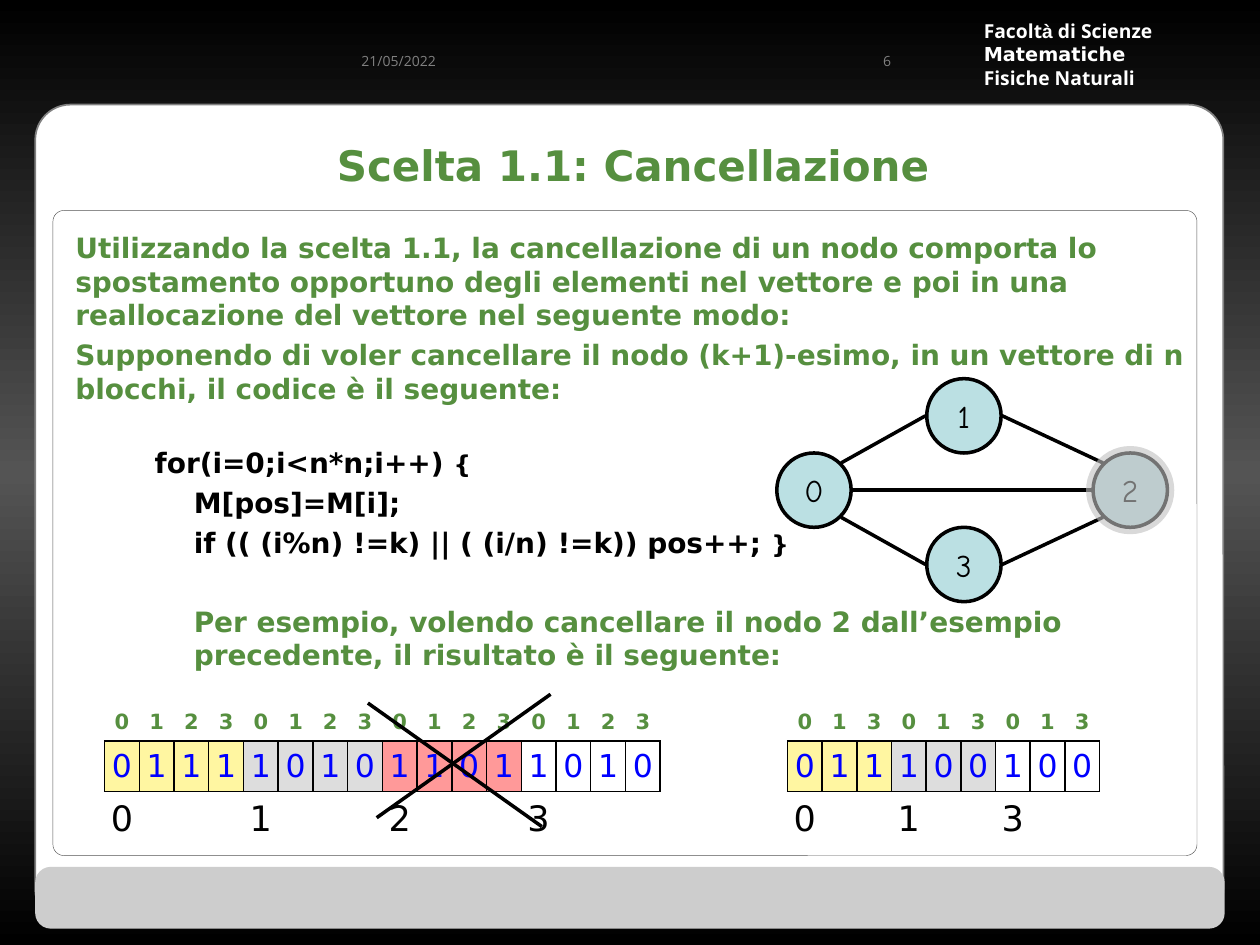
"""Builds the slide on deleting a node from an adjacency matrix stored as a vector."""
from copy import deepcopy
from dataclasses import dataclass
from math import cos, radians, sin
from typing import NamedTuple, Optional

from lxml.etree import SubElement
from pptx import Presentation
from pptx.dml.color import RGBColor
from pptx.enum.shapes import MSO_CONNECTOR as CXN, MSO_SHAPE as SHAPE
from pptx.enum.text import MSO_ANCHOR as ANCHOR, PP_ALIGN as ALIGN
from pptx.oxml.ns import qn
from pptx.util import Inches, Pt


@dataclass(frozen=True)
class Theme:
    black: str = "000000"
    white: str = "FFFFFF"
    green: str = "568F3F"
    blue: str = "0000FF"
    grey: str = "808080"
    dark: str = "545454"
    band: str = "CDCDCD"
    node: str = "BBE0E3"
    veil: str = "C0C0C0"
    yellow: str = "FFF6A1"
    silver: str = "DDDDDD"
    red: str = "FF9999"
    sans: str = "DejaVu Sans"
    header: str = "Open Sans"
    accent: str = "Arial"
    comic: str = "Comic Neue"
    small: float = 8
    faculty: float = 11
    index: float = 12
    brace: float = 14
    body: float = 16
    cell: float = 18
    block: float = 20
    title: float = 24
    no_style: str = "{2D5ABB26-0587-4C30-8999-92F81FD0307C}"


T = Theme()


class Run(NamedTuple):
    text: str
    size: float
    color: str
    font: str = T.sans
    bold: bool = False


class Para(NamedTuple):
    runs: list
    before: float = 0
    margin: float = 0
    align: ALIGN = ALIGN.LEFT


class Box(NamedTuple):
    x: float
    y: float
    w: float
    h: float


class Block(NamedTuple):
    label: str
    bits: str
    fill: str


class Node(NamedTuple):
    x: float
    y: float


class Edge(NamedTuple):
    start: str
    start_angle: float
    end: str
    end_angle: float


def rgb(color: str) -> RGBColor:
    return RGBColor.from_string(color)


def emu(box: Box) -> list:
    return [Inches(v) for v in box]


def write(tf, paras: list) -> None:
    for i, para in enumerate(paras):
        p = tf.add_paragraph() if i else tf.paragraphs[0]
        p.alignment = para.align
        p.space_before = Pt(para.before)
        if para.margin:
            p._p.get_or_add_pPr().set("marL", str(Inches(para.margin)))
        for run in para.runs:
            r = p.add_run()
            r.text = run.text
            r.font.size, r.font.name, r.font.bold = Pt(run.size), run.font, run.bold
            r.font.color.rgb = rgb(run.color)


def add_text(s, box: Box, paras: list, anchor: ANCHOR = ANCHOR.MIDDLE) -> None:
    tf = s.shapes.add_textbox(*emu(box)).text_frame
    tf.word_wrap, tf.vertical_anchor = True, anchor
    write(tf, paras)


def add_shape(s, kind: SHAPE, box: Box, fill: Optional[str] = None,
              line: Optional[str] = None, width: float = 1, adj: Optional[float] = None):
    sp = s.shapes.add_shape(kind, *emu(box))
    sp.shadow.inherit = False
    if adj is not None:
        sp.adjustments[0] = adj
    if fill:
        sp.fill.solid()
        sp.fill.fore_color.rgb = rgb(fill)
    else:
        sp.fill.background()
    if line:
        sp.line.color.rgb = rgb(line)
        sp.line.width = Pt(width)
    else:
        sp.line.fill.background()
    return sp


def add_line(s, x1: float, y1: float, x2: float, y2: float) -> None:
    cxn = s.shapes.add_connector(CXN.STRAIGHT, *[Inches(v) for v in (x1, y1, x2, y2)])
    cxn.line.color.rgb = rgb(T.black)
    cxn.line.width = Pt(2)
    SubElement(cxn._element.spPr, qn("a:effectLst"))


def rim(node: Node, radius: float, angle: float) -> tuple:
    a = radians(angle)
    return node.x + radius * cos(a), node.y - radius * sin(a)


def add_border(cell, sides: str) -> None:
    pr = cell._tc.get_or_add_tcPr()
    for i, side in enumerate(sides):
        ln = SubElement(pr, qn(f"a:ln{side}"), w=str(Pt(1)))
        SubElement(SubElement(ln, qn("a:solidFill")), qn("a:srgbClr"), val=T.black)
        pr.remove(ln)
        pr.insert(i, ln)


def fill_cell(cell, run: Optional[Run], fill: Optional[str], sides: str) -> None:
    cell.margin_left = cell.margin_right = Inches(0.02)
    cell.vertical_anchor = ANCHOR.MIDDLE
    if run:
        write(cell.text_frame, [Para([run], align=ALIGN.CENTER)])
    if fill:
        cell.fill.solid()
        cell.fill.fore_color.rgb = rgb(fill)
    else:
        cell.fill.background()
    add_border(cell, sides)


def add_vector(s, x: float, width: float, blocks: list) -> None:
    n = len(blocks)
    heights = (0.3, 0.4, 0.44)
    table = s.shapes.add_table(3, n * n, *emu(Box(x, 5.58, width, sum(heights)))).table
    table.first_row = table.horz_banding = False
    table._tbl.tblPr.find(qn("a:tableStyleId")).text = T.no_style
    for row, height in zip(table.rows, heights):
        row.height = Inches(height)
    for col in table.columns:
        col.width = Inches(width / n**2)
    for i, block in enumerate(blocks):
        for j, (bit, other) in enumerate(zip(block.bits, blocks)):
            top, mid, low = (table.cell(row, i * n + j) for row in range(3))
            label = Run(block.label, T.block, T.black) if j == 0 else None
            fill_cell(top, Run(other.label, T.index, T.green, bold=True), None, "B")
            fill_cell(mid, Run(bit, T.cell, T.blue), block.fill, "LRTB")
            fill_cell(low, label, None, "T")


def add_graph(s, nodes: dict, edges: list, deleted: str) -> None:
    r = 0.295
    for label, node in nodes.items():
        sp = add_shape(s, SHAPE.OVAL, Box(node.x - r, node.y - r, 2 * r, 2 * r), T.node, T.black, 2)
        sp.text_frame.word_wrap = False
        sp.text_frame.vertical_anchor = ANCHOR.MIDDLE
        write(sp.text_frame, [Para([Run(label, T.cell, T.black, T.comic)], align=ALIGN.CENTER)])
    for e in edges:
        add_line(s, *rim(nodes[e.start], r + 0.01, e.start_angle),
                 *rim(nodes[e.end], r + 0.01, e.end_angle))
    node, halo = nodes[deleted], 0.35
    veil = add_shape(s, SHAPE.OVAL, Box(node.x - halo, node.y - halo, 2 * halo, 2 * halo), T.veil)
    SubElement(veil._element.spPr.find(".//" + qn("a:srgbClr")), qn("a:alpha"), val="60000")


def set_background(s, colors: list) -> None:
    fill = s.background.fill
    fill.gradient()
    fill.gradient_angle = 90
    stops = next(s._element.iter(qn("a:gsLst")))
    stops.append(deepcopy(stops[0]))
    for i, (stop, color) in enumerate(zip(fill.gradient_stops, colors)):
        stop.position = i / (len(colors) - 1)
        stop.color.rgb = rgb(color)


def body_text(text: str, color: str = T.green, size: float = T.body) -> Run:
    return Run(text, size, color, bold=True)


def faculty(text: str, font: str = T.header) -> Run:
    return Run(text, T.faculty, T.white, font, True)


def main() -> None:
    prs = Presentation()
    prs.slide_width, prs.slide_height = Inches(10), Inches(7.5)
    s = prs.slides.add_slide(prs.slide_layouts[6])
    set_background(s, [T.black, T.dark, T.black])
    add_shape(s, SHAPE.ROUNDED_RECTANGLE, Box(0.28, 0.83, 9.43, 6.51), T.white, T.grey, 1, 0.043)
    add_shape(s, SHAPE.ROUNDED_RECTANGLE, Box(0.28, 6.88, 9.44, 0.49), T.band, adj=0.252)
    add_text(s, Box(7.71, 0.22, 1.83, 0.42), [
        Para([faculty("Facolt"), faculty("à", T.accent), faculty(" di Scienze")]),
        Para([faculty("Matematiche", T.sans)]), Para([faculty("Fisiche Naturali")])])
    for text, box in (("6", Box(6.42, 0.23, 0.75, 0.5)), ("21/05/2022", Box(2.5, 0.23, 1.06, 0.5))):
        add_text(s, box, [Para([Run(text, T.small, T.grey, T.header)], align=ALIGN.RIGHT)])
    add_text(s, Box(0.35, 0.84, 9.35, 0.94), [
        Para([body_text("Scelta 1.1: Cancellazione", size=T.title)], align=ALIGN.CENTER)])
    add_text(s, Box(0.5, 1.78, 9, 4.92), [
        Para([body_text("Utilizzando la scelta 1.1, la cancellazione di un nodo comporta lo spostamento opportuno "
                        "degli elementi nel vettore e poi in una reallocazione del vettore nel seguente modo:")]),
        Para([body_text("Supponendo di voler cancellare il nodo (k+1)-esimo, in un vettore di n blocchi, "
                        "il codice è il seguente:")], 3.7),
        Para([body_text("for(i=0;i<n*n;i++) ", T.black), body_text("{", T.black, T.brace)], 23.3, 0.63),
        Para([body_text("M[pos]=M[i];", T.black)], 3.7, 0.94),
        Para([body_text("if (( (i%n) !=k) || ( (i/n) !=k)) pos++; ", T.black),
              body_text("}", T.black, T.brace)], 3.7, 0.94),
        Para([body_text("Per esempio, volendo cancellare il nodo 2 dall’esempio precedente, "
                        "il risultato è il seguente:")], 25.6, 0.94)], ANCHOR.TOP)
    add_vector(s, 0.83, 4.41, [Block("0", "0111", T.yellow), Block("1", "1010", T.silver),
                               Block("2", "1101", T.red), Block("3", "1010", T.white)])
    add_vector(s, 6.25, 2.48, [Block("0", "011", T.yellow), Block("1", "100", T.silver),
                               Block("3", "100", T.white)])
    add_line(s, 2.99, 6.49, 4.37, 5.51)
    add_line(s, 4.3, 6.56, 2.92, 5.58)
    nodes = {"0": Node(6.46, 3.89), "1": Node(7.65, 3.3), "3": Node(7.65, 4.48), "2": Node(8.97, 3.89)}
    add_graph(s, nodes, [Edge("0", 45, "1", 180), Edge("0", -45, "3", 180), Edge("1", 0, "2", 135),
                         Edge("3", 0, "2", -135), Edge("0", 0, "2", 180)], "2")
    add_shape(s, SHAPE.ROUNDED_RECTANGLE, Box(0.42, 1.67, 9.08, 5.12), None, T.dark, 0.25, 0.017)
    prs.save("out.pptx")


if __name__ == "__main__":
    main()
